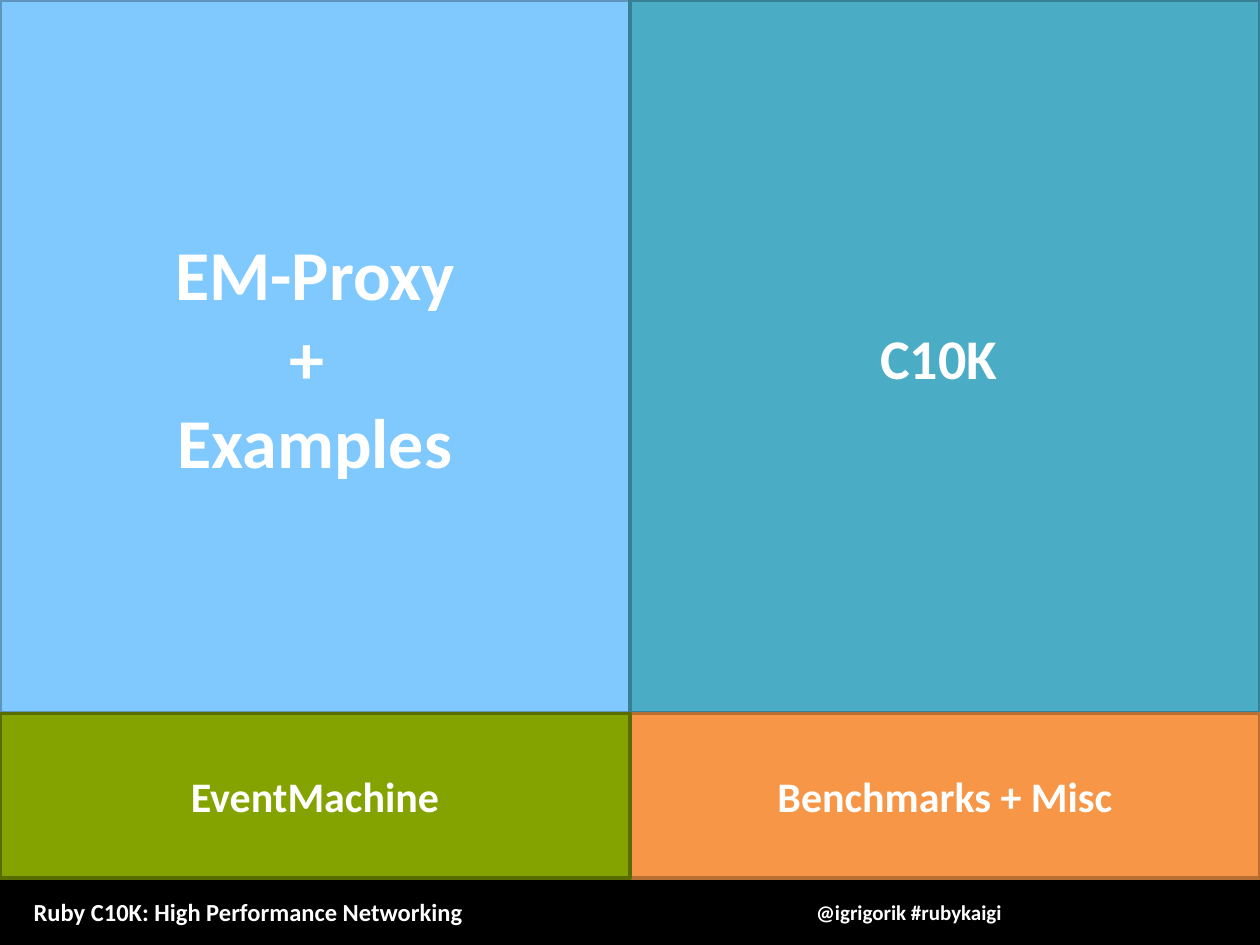
"""Build a four-tile agenda slide with a footer bar."""
import pptx
import pptx.util
import pptx.dml.color
import pptx.enum.shapes
import pptx.enum.text

Cm, Pt = pptx.util.Cm, pptx.util.Pt
RGB = pptx.dml.color.RGBColor
ALIGN = pptx.enum.text.PP_ALIGN
ANCHOR = pptx.enum.text.MSO_ANCHOR
RECT = pptx.enum.shapes.MSO_SHAPE.RECTANGLE

WHITE = RGB(0xFF, 0xFF, 0xFF)
BLACK = RGB(0x00, 0x00, 0x00)
GREY = RGB(0x5F, 0x60, 0x62)
SKY, NAVY = RGB(0x80, 0xC9, 0xFF), RGB(0x5F, 0x95, 0xBD)
TEAL, PINE = RGB(0x4B, 0xAC, 0xC6), RGB(0x37, 0x7F, 0x92)
PEACH, RUST = RGB(0xF7, 0x96, 0x46), RGB(0xB7, 0x6F, 0x34)
LIME, MOSS = RGB(0x85, 0xA3, 0x00), RGB(0x59, 0x6C, 0x00)

WIDTH, HEIGHT = 25.4, 19.05
COLS = (0, WIDTH / 2, WIDTH)
ROWS = (0, 14.38, 17.7, HEIGHT)

TILES = [
    (0, 0, ["EM-Proxy", "+ ", "Examples"], 40, SKY, NAVY),
    (1, 0, ["C10K "], 32, TEAL, PINE),
    (1, 1, ["Benchmarks + Misc"], 24, PEACH, RUST),
    (0, 1, ["EventMachine"], 24, LIME, MOSS),
]
NOTES = [
    ("Ruby C10K: High Performance Networking", 14, ALIGN.LEFT, (0.43, 17.96, 9.98, 0.86)),
    ("@igrigorik #rubykaigi", 12, ALIGN.CENTER, (15.77, 18.01, 5.11, 0.76)),
]
FONT = {"name": "Calibri", "bold": True}


def write(frame, lines, size, align):
    for i, line in enumerate(lines):
        para = frame.paragraphs[0] if i == 0 else frame.add_paragraph()
        para.alignment = align
        run = para.add_run()
        run.text = line
        for key, value in {**FONT, "size": Pt(size)}.items():
            setattr(run.font, key, value)
        run.font.color.rgb = WHITE


def block(slide, left, top, right, low, fill, edge):
    shape = slide.shapes.add_shape(RECT, Cm(left), Cm(top), Cm(right - left), Cm(low - top))
    shape.shadow.inherit = False
    shape.fill.solid()
    shape.fill.fore_color.rgb = fill
    shape.line.color.rgb = edge
    shape.line.width = Pt(2)
    return shape


def main():
    deck = pptx.Presentation()
    deck.slide_width, deck.slide_height = Cm(WIDTH), Cm(HEIGHT)
    slide = deck.slides.add_slide(deck.slide_layouts[6])
    slide.background.fill.solid()
    slide.background.fill.fore_color.rgb = GREY

    block(slide, 0, ROWS[2], WIDTH, HEIGHT, BLACK, BLACK)
    for text, size, align, place in NOTES:
        frame = slide.shapes.add_textbox(*map(Cm, place)).text_frame
        frame.word_wrap = False
        frame.auto_size = pptx.enum.text.MSO_AUTO_SIZE.SHAPE_TO_FIT_TEXT
        write(frame, [text], size, align)

    for col, row, lines, size, fill, edge in TILES:
        tile = block(slide, COLS[col], ROWS[row], COLS[col + 1], ROWS[row + 1], fill, edge)
        tile.text_frame.word_wrap = True
        tile.text_frame.vertical_anchor = ANCHOR.MIDDLE
        write(tile.text_frame, lines, size, ALIGN.CENTER)

    deck.save("out.pptx")


if __name__ == "__main__":
    main()
